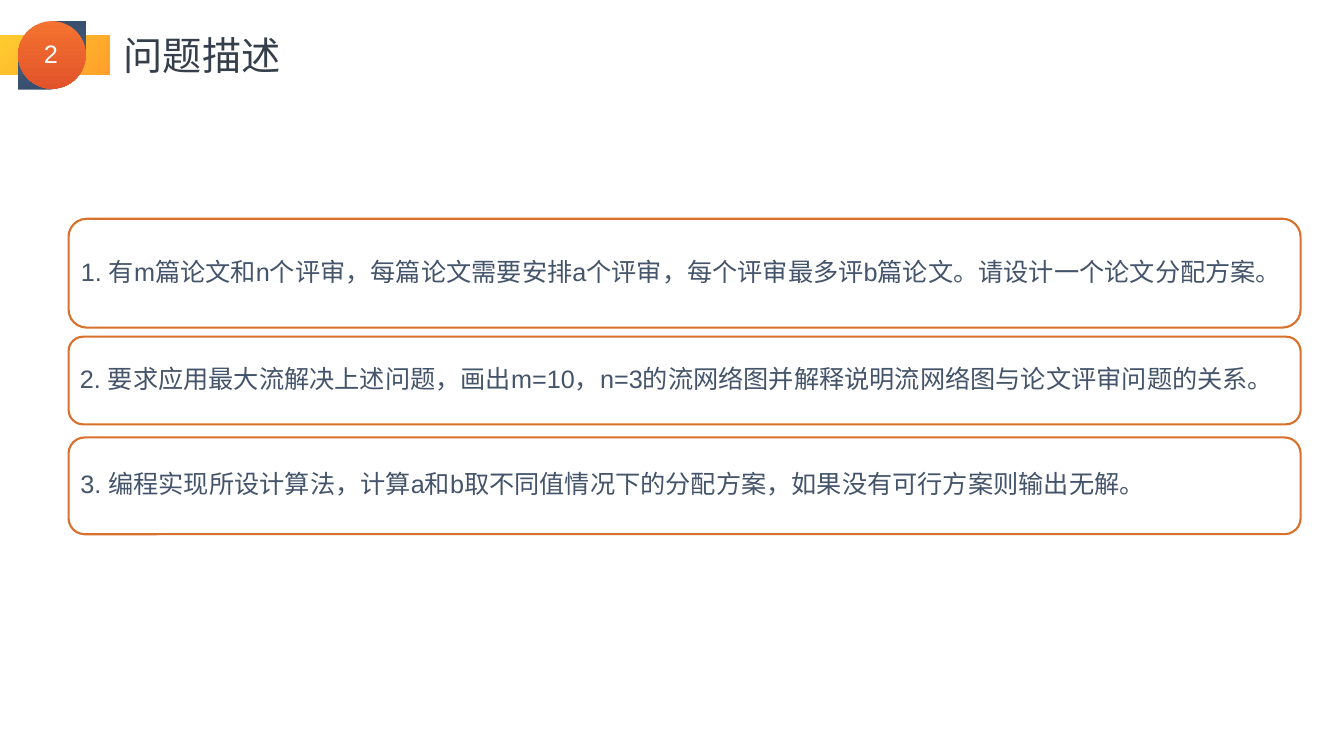
"""Build the problem description slide."""
from lxml import etree
from pptx import Presentation
from pptx.dml.color import RGBColor
from pptx.enum.shapes import MSO_SHAPE
from pptx.enum.text import MSO_ANCHOR, PP_ALIGN
from pptx.oxml.ns import qn
from pptx.util import Inches, Pt

RECT, TEARDROP = MSO_SHAPE.RECTANGLE, MSO_SHAPE.TEAR
OVAL, ROUNDED = MSO_SHAPE.OVAL, MSO_SHAPE.ROUNDED_RECTANGLE
LEFT, CENTER = PP_ALIGN.LEFT, PP_ALIGN.CENTER
TOP, MIDDLE = MSO_ANCHOR.TOP, MSO_ANCHOR.MIDDLE

WHITE = RGBColor(0xFF, 0xFF, 0xFF)
INK = RGBColor(0x35, 0x3F, 0x4B)
SLATE = RGBColor(0x44, 0x54, 0x6A)
ORANGE = RGBColor(0xD7, 0x71, 0x2C)
GOLD_FADE = RGBColor(0xFF, 0xCC, 0x30), RGBColor(0xFF, 0x9F, 0x2A)
NAVY_FADE = RGBColor(0x38, 0x4F, 0x6E), RGBColor(0x4A, 0x6C, 0x90)
RED_FADE = RGBColor(0xF4, 0x73, 0x31), RGBColor(0xE2, 0x53, 0x29)
LATIN, CJK = "Arial", "Noto Sans CJK SC"

BADGE = [
    (RECT, (0, 0.35, 1.09, 0.39), GOLD_FADE, 315, 0),
    (TEARDROP, (0.28, 0.21, 0.58, 0.58), NAVY_FADE, 270, 0),
    (TEARDROP, (0.18, 0.31, 0.58, 0.58), NAVY_FADE, 270, 180),
    (OVAL, (0.18, 0.21, 0.67, 0.67), RED_FADE, 270, 0),
]
LABELS = [
    ("2", (0.25, 0.33, 0.51, 0.4), 18, LATIN, WHITE, CENTER),
    ("问题描述", (1.13, 0.26, 1.77, 0.57), 28, CJK, INK, LEFT),
]
CARD_LEFT, CARD_WIDTH, CARD_INSET = 0.68, 12.22, 0.07
CARDS = [
    (2.17, 1.08, "1. 有m篇论文和n个评审，每篇论文需要安排a个评审，每个评审最多评b篇论文。请设计一个论文分配方案。"),
    (3.34, 0.87, "2. 要求应用最大流解决上述问题，画出m=10，n=3的流网络图并解释说明流网络图与论文评审问题的关系。"),
    (4.34, 0.96, "3. 编程实现所设计算法，计算a和b取不同值情况下的分配方案，如果没有可行方案则输出无解。"),
]


def add_shape(slide, kind, box):
    s = slide.shapes.add_shape(kind, *map(Inches, box))
    s.shadow.inherit = False
    return s


def write(tf, text, size, font, color, align, anchor):
    tf.vertical_anchor = anchor
    p = tf.paragraphs[0]
    p.alignment = align
    r = p.add_run()
    r.text = text
    r.font.size = Pt(size)
    r.font.name = font
    r.font.color.rgb = color
    etree.SubElement(r.font._element, qn("a:ea"), typeface=CJK)
    return p


def add_badge_part(slide, kind, box, fade, angle, rotation):
    s = add_shape(slide, kind, box)
    s.rotation = rotation
    s.line.fill.background()
    s.fill.gradient()
    s.fill.gradient_angle = angle
    for stop, color in zip(s.fill.gradient_stops, fade):
        stop.color.rgb = color


def add_label(slide, text, box, size, font, color, align):
    tf = slide.shapes.add_textbox(*map(Inches, box)).text_frame
    tf.word_wrap = False
    write(tf, text, size, font, color, align, TOP)


def add_card(slide, top, height, text):
    s = add_shape(slide, ROUNDED, (CARD_LEFT, top, CARD_WIDTH, height))
    s.fill.solid()
    s.fill.fore_color.rgb = WHITE
    s.line.color.rgb = ORANGE
    s.line.width = Pt(1.5)
    tf = s.text_frame
    tf.word_wrap = True
    tf.margin_left = tf.margin_right = Inches(CARD_INSET)
    tf.margin_top = tf.margin_bottom = Inches(CARD_INSET)
    p = write(tf, text, 18, LATIN, SLATE, LEFT, MIDDLE)
    p.line_spacing = 0.9


def main():
    prs = Presentation()
    prs.slide_width, prs.slide_height = Inches(13.33), Inches(7.5)
    slide = prs.slides.add_slide(prs.slide_layouts[6])
    for part in BADGE:
        add_badge_part(slide, *part)
    for label in LABELS:
        add_label(slide, *label)
    for card in CARDS:
        add_card(slide, *card)
    prs.save("out.pptx")


if __name__ == "__main__":
    main()
